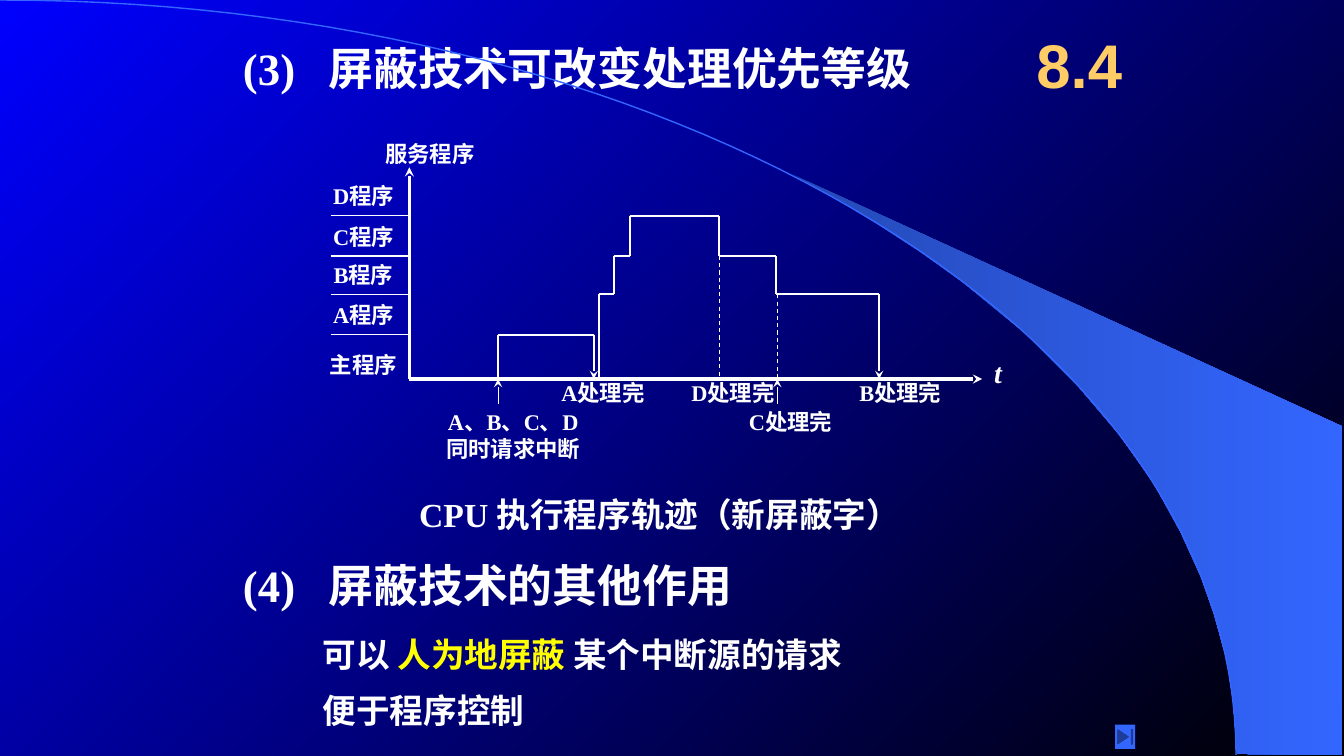
import itertools

import pptx
import pptx.dml.color
import pptx.enum.dml
import pptx.enum.shapes
import pptx.enum.text
import pptx.oxml
import pptx.oxml.ns
import pptx.util

Inches = pptx.util.Inches
ALIGN = pptx.enum.text.PP_ALIGN
ANCHOR = pptx.enum.text.MSO_ANCHOR
SHAPES = pptx.enum.shapes.MSO_SHAPE
WIDTH, HEIGHT = 13.33, 7.5
SERIF = "Times New Roman"
COLORS = {
    "white": "FFFFFF", "yellow": "FFFF00", "gold": "FFCC66",
    "blue": "0000FF", "black": "000000", "azure": "3366FF", "navy": "2449B6",
}


def rgb(name):
    return pptx.dml.color.RGBColor.from_string(COLORS[name])


def set_gradient(fill, first, last, angle):
    fill.gradient()
    fill.gradient_angle = angle
    for stop, name, position in zip(fill.gradient_stops, (first, last), (0, 1)):
        stop.color.rgb = rgb(name)
        stop.position = position


def write(box, lines, size, color="white", align=ALIGN.LEFT, anchor=ANCHOR.TOP,
          font=SERIF, insets=(0, 0, 0, 0), italic=False):
    """Fill a box; each line is a list of (text, colour or None)."""
    frame = box.text_frame
    frame.word_wrap = True
    frame.auto_size = pptx.enum.text.MSO_AUTO_SIZE.NONE
    frame.vertical_anchor = anchor
    (frame.margin_left, frame.margin_top,
     frame.margin_right, frame.margin_bottom) = map(Inches, insets)
    for index, line in enumerate(lines):
        para = frame.add_paragraph() if index else frame.paragraphs[0]
        para.alignment = align
        para.font.name, para.font.size = font, pptx.util.Pt(size)
        para.font.bold, para.font.italic = True, italic
        para.font.color.rgb = rgb(color)
        for text, accent in line:
            span = para.add_run()
            span.text = text
            if accent:
                span.font.color.rgb = rgb(accent)


def add_text(page, area, text, size, **style):
    box = page.shapes.add_textbox(*map(Inches, area))
    lines = [[(line, None)] for line in text.split("\n")] if isinstance(text, str) else text
    write(box, lines, size, **style)
    return box


def add_line(page, start, end, width, arrow=False, dashed=False):
    line = page.shapes.add_connector(
        pptx.enum.shapes.MSO_CONNECTOR.STRAIGHT, *map(Inches, (*start, *end)))
    line.line.color.rgb = rgb("white")
    line.line.width = pptx.util.Pt(width)
    if dashed:
        line.line.dash_style = pptx.enum.dml.MSO_LINE.DASH
    if arrow:
        tail = pptx.oxml.parse_xml(
            f'<a:tailEnd {pptx.oxml.ns.nsdecls("a")} type="stealth"/>')
        line.line._get_or_add_ln().append(tail)
    line._element.spPr.append(
        pptx.oxml.parse_xml(f'<a:effectLst {pptx.oxml.ns.nsdecls("a")}/>'))


def add_outline(page, points, close):
    corners = [tuple(map(Inches, point)) for point in points]
    builder = page.shapes.build_freeform(*corners[0])
    builder.add_line_segments(corners[1:], close=close)
    shape = builder.convert_to_shape()
    shape.shadow.inherit = False
    return shape


def draw_backdrop(page):
    set_gradient(page.background.fill, "blue", "black", 315)
    # Blue wedge beside the arc
    wedge = add_outline(page, [
        (12.27, 7.48), (13.31, 7.49), (13.31, 4.23), (7.86, 1.73), (8.32, 1.99),
        (8.7, 2.22), (9.13, 2.5), (9.55, 2.8), (10.16, 3.3), (10.7, 3.84),
        (11.1, 4.31), (11.44, 4.79), (11.71, 5.28), (11.91, 5.72),
        (12.04, 6.09), (12.17, 6.56), (12.23, 6.96)], True)
    set_gradient(wedge.fill, "navy", "azure", 0)
    wedge.line.fill.background()
    # Quarter arc, a cubic curve from the top left to the bottom right
    reach, drop, bend, steps = 12.26, 7.49, 0.552, 60
    curve = []
    for step in range(steps + 1):
        t = step / steps
        across = 3 * bend * t * (1 - t) ** 2 + 3 * t ** 2 * (1 - t) + t ** 3
        down = 3 * (1 - bend) * t ** 2 * (1 - t) + t ** 3
        curve.append((reach * across, drop * down))
    arc = add_outline(page, curve, False)
    arc.fill.background()
    arc.line.color.rgb = rgb("azure")
    arc.line.width = pptx.util.Pt(1)


def hang_number(box):
    """Let the text after the number start at a hanging indent."""
    properties = box.text_frame.paragraphs[0]._p.get_or_add_pPr()
    properties.set("marL", str(Inches(0.85)))
    properties.set("indent", str(-Inches(0.85)))


def draw_headings(page, left):
    title = page.shapes.title
    title.left, title.top, title.width, title.height = map(Inches, (left, 0.44, 7.57, 0.47))
    write(title, [[("(3)\t屏蔽技术可改变处理优先等级", None)]], 32, anchor=ANCHOR.MIDDLE)
    second = add_text(page, (left, 5.56, 5.9, 0.47), "(4)\t屏蔽技术的其他作用", 32,
                      anchor=ANCHOR.MIDDLE)
    for heading in (title, second):
        hang_number(heading)
    add_text(page, (10.08, 0.17, 1.25, 0.92), "8.4", 44, color="gold", font="Arial",
             align=ALIGN.CENTER, anchor=ANCHOR.MIDDLE, insets=(0.1, 0.05, 0.1, 0.05))


def draw_remarks(page, left, top):
    remarks = [
        [("可以 ", None), ("人为地屏蔽 ", "yellow"), ("某个中断源的请求", None)],
        [("便于程序控制", None)]]
    for row, remark in enumerate(remarks):
        add_text(page, (left, top + 0.56 * row, 6.9, 0.5), [remark], 24,
                 insets=(0, 0.05, 0.1, 0.05))


def draw_timeline(page, left, base):
    """Program levels against time; left and base mark the origin."""
    levels = {"主": 0, "A": 0.44, "B": 0.84, "C": 1.22, "D": 1.62}

    def at(time, level):
        return left + time, base - levels.get(level, level)

    def label(time, depth, width, text, size=16, **style):
        add_text(page, (left + time, base + depth, width, 0.36), text, size,
                 align=ALIGN.CENTER, **style)

    # Axes
    add_line(page, at(0, 0), at(5.68, 0), 2.25, arrow=True)
    add_line(page, at(0, 0), at(0, 2.1), 2.25, arrow=True)
    label(-0.38, -2.37, 1.17, "服务程序")
    label(5.61, -0.23, 0.46, "t", 20, italic=True)

    # Program levels
    for name, level in levels.items():
        label(-0.86, -level - (0.33 if level else 0.28), 0.81, name + "程序")
        if level:
            add_line(page, at(-0.78, name), at(0, name), 0.75)

    # Traces, each ending in an arrow on the time axis
    traces = [
        [(0.88, 0), (0.88, "A"), (1.83, "A"), (1.83, 0)],
        [(1.88, 0), (1.88, "B"), (2.03, "B"), (2.03, "C"), (2.19, "C"), (2.19, "D"),
         (3.07, "D"), (3.07, "C"), (3.64, "C"), (3.64, "B"), (4.66, "B"), (4.66, 0)]]
    for trace in traces:
        for start, end in itertools.pairwise(trace):
            add_line(page, at(*start), at(*end), 1.5, arrow=end == trace[-1])
    for time, level in ((3.08, "C"), (3.65, "B")):
        add_line(page, at(time, level), at(time, 0), 0.75, dashed=True)

    # Events below the axis
    for time in (0.88, 3.65):
        add_line(page, at(time, -0.25), at(time, 0), 0.75, arrow=True)
    label(0.24, 0.29, 1.58, "A、B、C、D\n同时请求中断")
    for name, time, depth in (("A", 1.92, 0), ("D", 3.21, 0), ("C", 3.78, 0.29), ("B", 4.87, 0)):
        label(time - 0.52, depth, 1.04, name + "处理完")

    # Caption
    add_text(page, (left, base + 1.09, 5.67, 0.5), "CPU 执行程序轨迹（新屏蔽字）", 24,
             insets=(0.1, 0.05, 0.1, 0.05))


def draw_end_button(page, left, top):
    button = page.shapes.add_shape(
        SHAPES.ACTION_BUTTON_END, *map(Inches, (left, top, 0.2, 0.24)))
    button.shadow.inherit = False
    button.fill.solid()
    button.fill.fore_color.rgb = rgb("azure")
    button.line.fill.background()


def main():
    deck = pptx.Presentation()
    deck.slide_width, deck.slide_height = Inches(WIDTH), Inches(HEIGHT)
    page = deck.slides.add_slide(deck.slide_layouts.get_by_name("Title Only"))
    draw_backdrop(page)
    draw_headings(page, 2.41)
    draw_timeline(page, 4.06, 3.76)
    draw_remarks(page, 3.2, 6.24)
    draw_end_button(page, 11.06, 7.19)
    deck.save("out.pptx")


if __name__ == "__main__":
    main()
